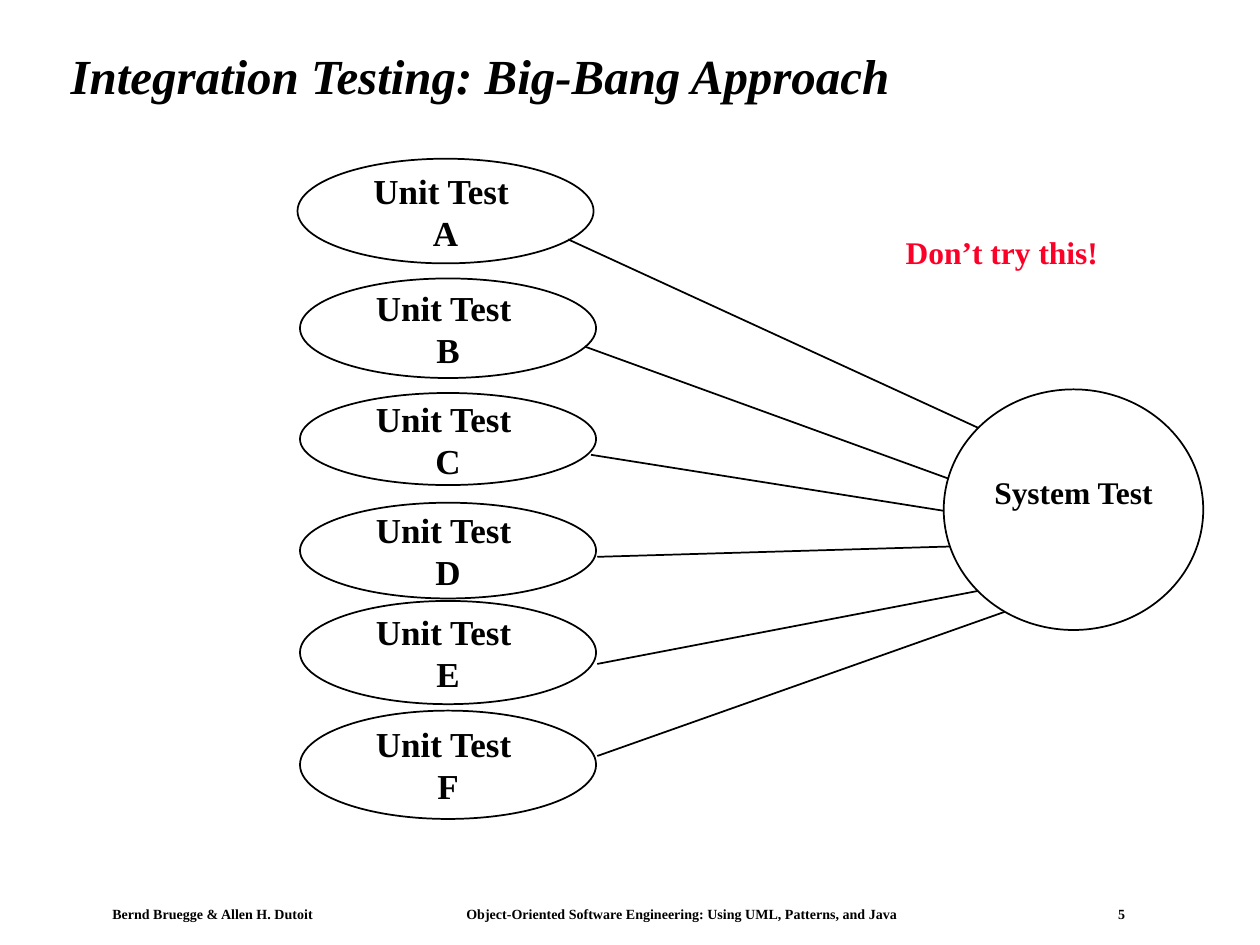
"""Build a slide showing big-bang integration testing: six unit tests feeding one system test."""
import pptx
import pptx.dml.color
import pptx.enum.shapes
import pptx.enum.text
import pptx.oxml.ns
import pptx.util
from lxml import etree

Pt = pptx.util.Pt
COLORS = {
    "ink": pptx.dml.color.RGBColor.from_string("000000"),
    "paper": pptx.dml.color.RGBColor.from_string("FFFFFF"),
    "warning": pptx.dml.color.RGBColor.from_string("FC0128"),
}
ALIGN = pptx.enum.text.PP_ALIGN
ANCHOR = pptx.enum.text.MSO_ANCHOR


def write(shape, lines, size, align=ALIGN.LEFT, anchor=ANCHOR.TOP, color="ink"):
    frame = shape.text_frame
    frame.text = "\n".join(lines)
    frame.word_wrap = False
    frame.vertical_anchor = anchor
    for paragraph in frame.paragraphs:
        paragraph.alignment = align
        paragraph.font.name = "Times New Roman"
        paragraph.font.size = Pt(size)
        paragraph.font.bold = True
        paragraph.font.color.rgb = COLORS[color]
    return frame


def add_ellipse(left, top, width, height):
    shape = slide.shapes.add_shape(
        pptx.enum.shapes.MSO_SHAPE.OVAL, Pt(left), Pt(top), Pt(width), Pt(height))
    shape.shadow.inherit = False
    shape.line.color.rgb = COLORS["ink"]
    shape.line.width = Pt(1)
    return shape


presentation = pptx.Presentation()
presentation.slide_width, presentation.slide_height = Pt(720), Pt(540)
slide = presentation.slides.add_slide(presentation.slide_layouts[5])

footer = slide.shapes.add_textbox(Pt(56.2), Pt(514.8), Pt(595.4), Pt(15.1))
footer_parts = ["Bernd Bruegge & Allen H. Dutoit",
                "Object-Oriented Software Engineering: Using UML, Patterns, and Java", "5"]
frame = write(footer, ["\t".join(footer_parts)], 8)
frame.word_wrap = True
frame.margin_left, frame.margin_right = Pt(8), Pt(0)
frame.margin_top = frame.margin_bottom = Pt(2.9)
properties = frame.paragraphs[0].font._element.getparent()
tab_list = etree.Element(pptx.oxml.ns.qn("a:tabLst"))
for position in (202.3, 574.8):
    etree.SubElement(tab_list, pptx.oxml.ns.qn("a:tab"), pos=str(int(Pt(position))), algn="l")
properties.insert(0, tab_list)

title = slide.shapes.title
title.left, title.top, title.width, title.height = Pt(33.1), Pt(17.3), Pt(642.2), Pt(55.4)
frame = write(title, ["Integration Testing: Big-Bang Approach"], 28, anchor=ANCHOR.MIDDLE)
frame.word_wrap = True
frame.paragraphs[0].font.italic = True
frame.paragraphs[0].line_spacing = 0.9

unit_tests = [
    ("A", 170, 90.7, 59.8, (324.7, 136.8), (573.8, 251.3)),
    ("B", 171.4, 159.1, 56.9, (334.1, 198), (560.2, 280.1)),
    ("C", 171.4, 224.6, 52.6, (337.7, 259.9), (560.2, 295.2)),
    ("D", 171.4, 287.3, 54.7, (341.3, 318.2), (560.2, 311.8)),
    ("E", 171.4, 343.4, 59, (341.3, 379.4), (566.6, 336.2)),
    ("F", 171.4, 406.1, 61.9, (341.3, 432), (575.3, 349.2)),
]
for letter, left, top, height, start, end in unit_tests:
    unit_test = add_ellipse(left, top, 169.2, height)
    unit_test.fill.background()
    write(unit_test, ["Unit Test ", letter], 20, ALIGN.CENTER, ANCHOR.MIDDLE)
    connector = slide.shapes.add_connector(
        pptx.enum.shapes.MSO_CONNECTOR.STRAIGHT, *map(Pt, start + end))
    connector.line.color.rgb = COLORS["ink"]
    connector.line.width = Pt(1)
    etree.SubElement(connector._element.spPr, pptx.oxml.ns.qn("a:effectLst"))

system_test = add_ellipse(539.3, 222.5, 148.3, 137.5)
system_test.fill.solid()
system_test.fill.fore_color.rgb = COLORS["paper"]
frame = write(system_test, ["System Test"], 18, ALIGN.CENTER, ANCHOR.MIDDLE)
frame.margin_bottom = Pt(24)

warning = slide.shapes.add_textbox(Pt(510.5), Pt(129.6), Pt(124.6), Pt(28.8))
write(warning, ["Don’t try this!"], 18, color="warning")

presentation.save("out.pptx")
